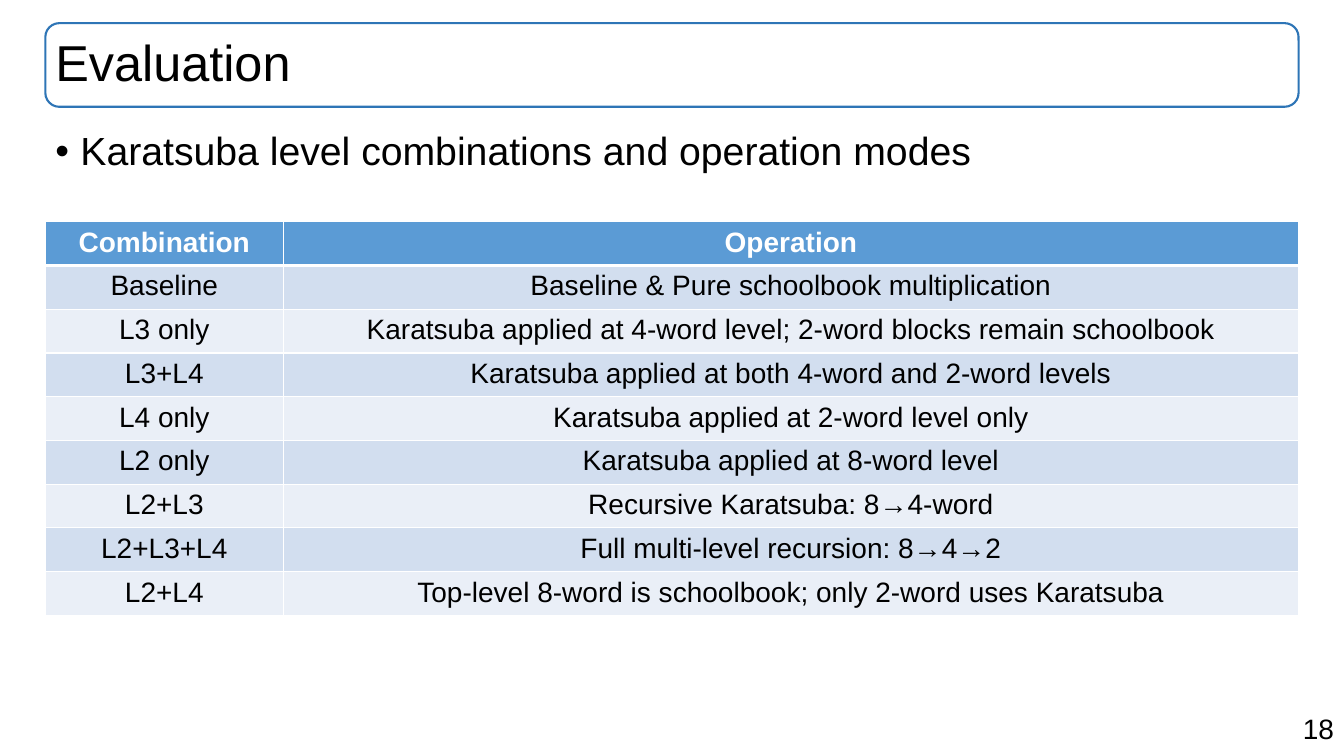
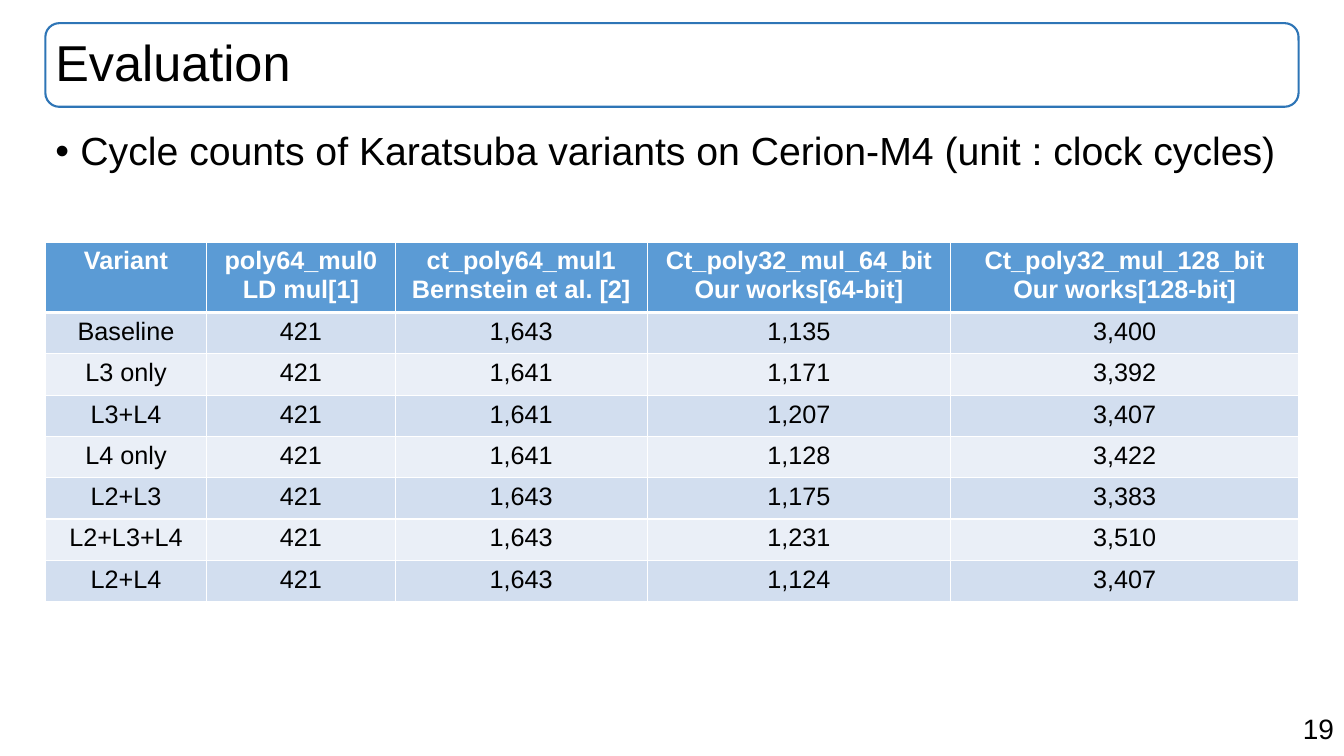
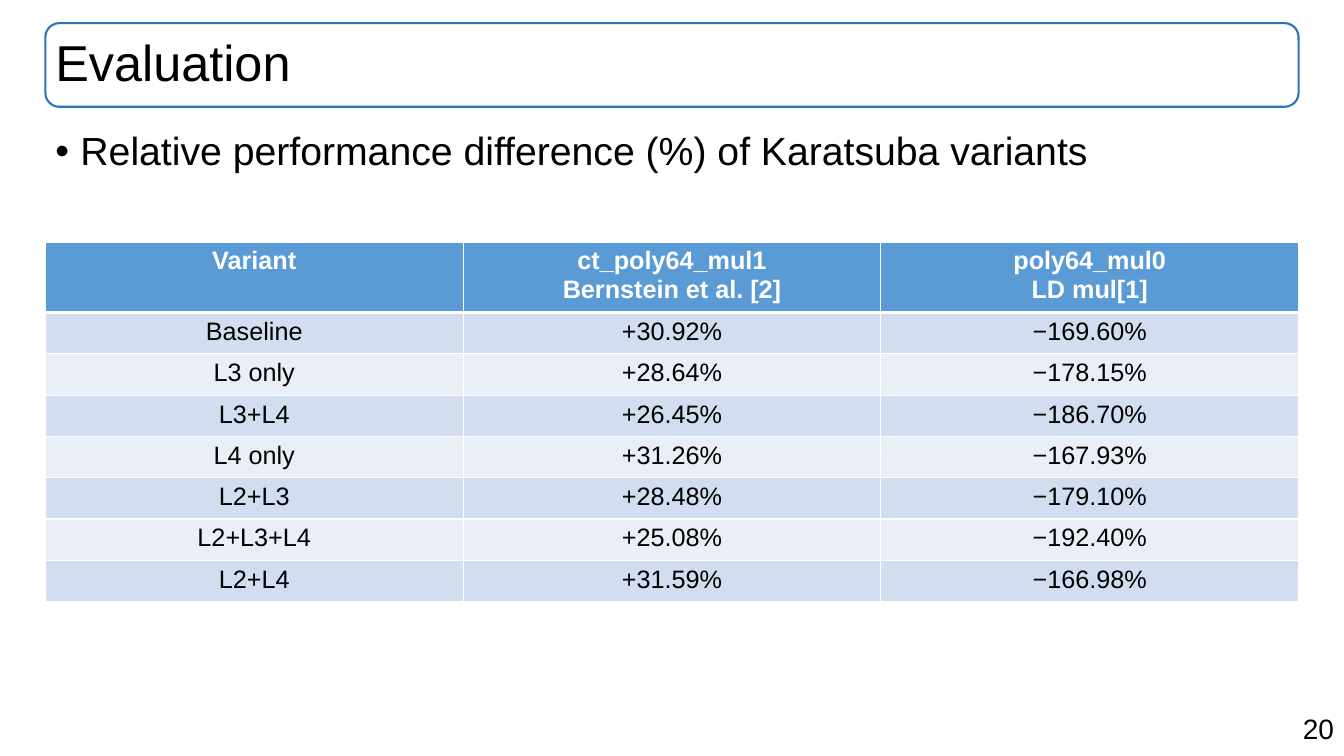
from dataclasses import dataclass

from lxml import etree
from pptx import Presentation
from pptx.dml.color import RGBColor
from pptx.enum.shapes import MSO_SHAPE
from pptx.enum.text import MSO_ANCHOR, PP_ALIGN
from pptx.oxml.ns import qn
from pptx.slide import Slide
from pptx.table import _Cell
from pptx.text.text import _Paragraph
from pptx.util import Inches, Pt

ROUNDED = MSO_SHAPE.ROUNDED_RECTANGLE
TOP, MIDDLE = MSO_ANCHOR.TOP, MSO_ANCHOR.MIDDLE
LEFT, CENTER, RIGHT = PP_ALIGN.LEFT, PP_ALIGN.CENTER, PP_ALIGN.RIGHT

BLACK = RGBColor(0x00, 0x00, 0x00)
WHITE = RGBColor(0xFF, 0xFF, 0xFF)
FRAME_BLUE = RGBColor(0x2E, 0x75, 0xB6)
HEADER_BLUE = RGBColor(0x5B, 0x9B, 0xD5)
BANDS = (RGBColor(0xD2, 0xDE, 0xEF), RGBColor(0xEA, 0xEF, 0xF7))

FONT = "Arial"
BLANK_LAYOUT = 6
MARGIN, CONTENT_WIDTH = 0.45, 12.43
ROW_HEIGHT = 0.41
THIN, THICK = 1, 3


@dataclass(frozen=True)
class Area:
    left: float
    top: float
    width: float
    height: float


@dataclass(frozen=True)
class TextStyle:
    size: float
    color: RGBColor = BLACK
    bold: bool = False
    align: PP_ALIGN = LEFT
    line_spacing: float = 1.0


@dataclass(frozen=True)
class ResultTable:
    top: float
    header_height: float
    size: float
    widths: tuple[float, ...]
    rows: tuple[tuple[str, ...], ...]


@dataclass(frozen=True)
class Page:
    number: int
    heading: str
    table: ResultTable


TITLE_AREA = Area(MARGIN, 0.23, CONTENT_WIDTH, 0.83)
BODY_AREA = Area(MARGIN, 1.26, CONTENT_WIDTH, 5.53)
NUMBER_AREA = Area(9.43, 7.01, 3.9, 0.44)
TITLE_STYLE = TextStyle(36, line_spacing=0.9)
BODY_STYLE = TextStyle(28, line_spacing=0.9)
NUMBER_STYLE = TextStyle(20, align=RIGHT)

LD_MUL = "poly64_mul0\nLD mul[1]"
BERNSTEIN = "ct_poly64_mul1\nBernstein et al. [2]"

PAGES = (
    Page(18, "Karatsuba level combinations and operation modes", ResultTable(
        2.2, ROW_HEIGHT, 20, (2.36, 10.07), (
            ("Combination", "Operation"),
            ("Baseline", "Baseline & Pure schoolbook multiplication"),
            ("L3 only", "Karatsuba applied at 4-word level; 2-word blocks remain schoolbook"),
            ("L3+L4", "Karatsuba applied at both 4-word and 2-word levels"),
            ("L4 only", "Karatsuba applied at 2-word level only"),
            ("L2 only", "Karatsuba applied at 8-word level"),
            ("L2+L3", "Recursive Karatsuba: 8→4-word"),
            ("L2+L3+L4", "Full multi-level recursion: 8→4→2"),
            ("L2+L4", "Top-level 8-word is schoolbook; only 2-word uses Karatsuba"),
        ))),
    Page(19, "Cycle counts of Karatsuba variants on Cerion-M4 (unit : clock cycles)", ResultTable(
        2.4, 0.65, 18, (1.6, 1.87, 2.5, 3.01, 3.45), (
            ("Variant", LD_MUL, BERNSTEIN,
             "Ct_poly32_mul_64_bit\nOur works[64-bit]",
             "Ct_poly32_mul_128_bit\nOur works[128-bit]"),
            ("Baseline", "421", "1,643", "1,135", "3,400"),
            ("L3 only", "421", "1,641", "1,171", "3,392"),
            ("L3+L4", "421", "1,641", "1,207", "3,407"),
            ("L4 only", "421", "1,641", "1,128", "3,422"),
            ("L2+L3", "421", "1,643", "1,175", "3,383"),
            ("L2+L3+L4", "421", "1,643", "1,231", "3,510"),
            ("L2+L4", "421", "1,643", "1,124", "3,407"),
        ))),
    Page(20, "Relative performance difference (%) of Karatsuba variants", ResultTable(
        2.4, 0.65, 18, (CONTENT_WIDTH / 3,) * 3, (
            ("Variant", BERNSTEIN, LD_MUL),
            ("Baseline", "+30.92%", "−169.60%"),
            ("L3 only", "+28.64%", "−178.15%"),
            ("L3+L4", "+26.45%", "−186.70%"),
            ("L4 only", "+31.26%", "−167.93%"),
            ("L2+L3", "+28.48%", "−179.10%"),
            ("L2+L3+L4", "+25.08%", "−192.40%"),
            ("L2+L4", "+31.59%", "−166.98%"),
        ))),
)


def place(area: Area) -> tuple[Inches, ...]:
    return tuple(Inches(n) for n in (area.left, area.top, area.width, area.height))


def style_paragraph(para: _Paragraph, style: TextStyle) -> None:
    para.alignment = style.align
    para.line_spacing = style.line_spacing
    para.font.name = FONT
    para.font.size = Pt(style.size)
    para.font.bold = style.bold
    para.font.color.rgb = style.color


def add_bullet(para: _Paragraph) -> None:
    properties = para._p.get_or_add_pPr()
    properties.set("marL", str(Inches(0.25)))
    properties.set("indent", str(Inches(-0.25)))
    etree.SubElement(properties, qn("a:buFont"), typeface=FONT)
    etree.SubElement(properties, qn("a:buChar"), char="•")


def add_text(slide: Slide, area: Area, text: str, style: TextStyle,
             anchor: MSO_ANCHOR = TOP, bullet: bool = False) -> None:
    frame = slide.shapes.add_textbox(*place(area)).text_frame
    frame.word_wrap = True
    frame.vertical_anchor = anchor
    para = frame.paragraphs[0]
    para.text = text
    if bullet:
        add_bullet(para)
    style_paragraph(para, style)


def add_title(slide: Slide, text: str) -> None:
    border = slide.shapes.add_shape(ROUNDED, *place(TITLE_AREA))
    border.shadow.inherit = False
    border.fill.background()
    border.line.color.rgb = FRAME_BLUE
    border.line.width = Pt(1.5)
    add_text(slide, TITLE_AREA, text, TITLE_STYLE, anchor=MIDDLE)


def set_borders(cell: _Cell, top: float, bottom: float) -> None:
    properties = cell._tc.get_or_add_tcPr()
    edges = (("a:lnL", THIN), ("a:lnR", THIN), ("a:lnT", top), ("a:lnB", bottom))
    for position, (tag, width) in enumerate(edges):
        edge = etree.Element(qn(tag), w=str(Pt(width)))
        fill = etree.SubElement(edge, qn("a:solidFill"))
        etree.SubElement(fill, qn("a:srgbClr"), val=str(WHITE))
        properties.insert(position, edge)


def add_result_table(slide: Slide, table: ResultTable) -> None:
    body_rows = len(table.rows) - 1
    area = Area(MARGIN, table.top, CONTENT_WIDTH, table.header_height + body_rows * ROW_HEIGHT)
    grid = slide.shapes.add_table(len(table.rows), len(table.widths), *place(area)).table
    for column, width in zip(grid.columns, table.widths):
        column.width = Inches(width)
    for index, texts in enumerate(table.rows):
        header = index == 0
        grid.rows[index].height = Inches(table.header_height if header else ROW_HEIGHT)
        style = TextStyle(table.size, WHITE if header else BLACK, header, CENTER)
        for column, text in enumerate(texts):
            cell = grid.cell(index, column)
            cell.text = text
            cell.fill.solid()
            cell.fill.fore_color.rgb = HEADER_BLUE if header else BANDS[(index - 1) % 2]
            set_borders(cell, THICK if index == 1 else THIN, THICK if header else THIN)
            for para in cell.text_frame.paragraphs:
                style_paragraph(para, style)


def main() -> None:
    deck = Presentation()
    deck.slide_width, deck.slide_height = Inches(13.33), Inches(7.5)
    for page in PAGES:
        slide = deck.slides.add_slide(deck.slide_layouts[BLANK_LAYOUT])
        add_text(slide, NUMBER_AREA, str(page.number), NUMBER_STYLE)
        add_title(slide, "Evaluation")
        add_text(slide, BODY_AREA, page.heading, BODY_STYLE, bullet=True)
        add_result_table(slide, page.table)
    deck.save("out.pptx")


if __name__ == "__main__":
    main()
